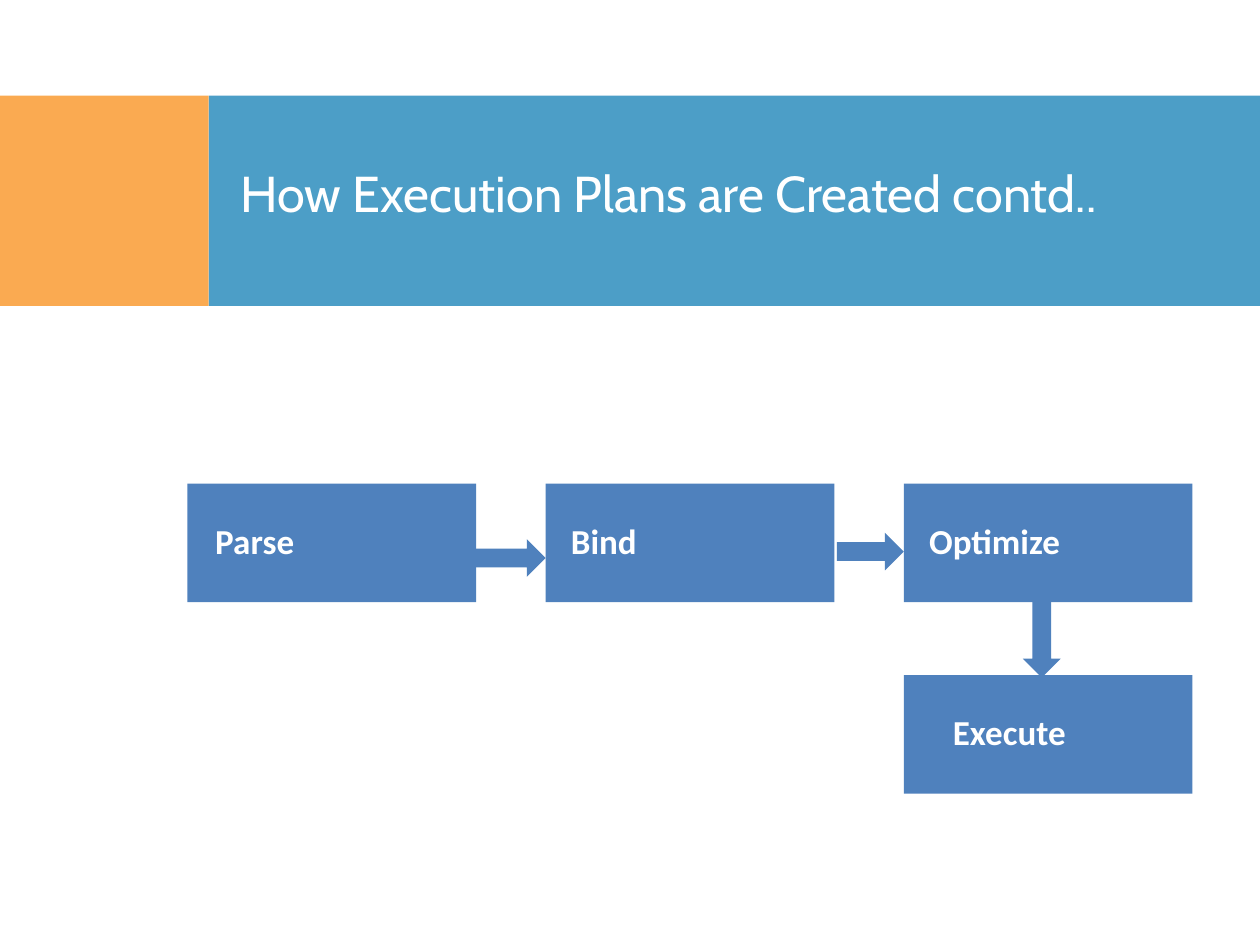
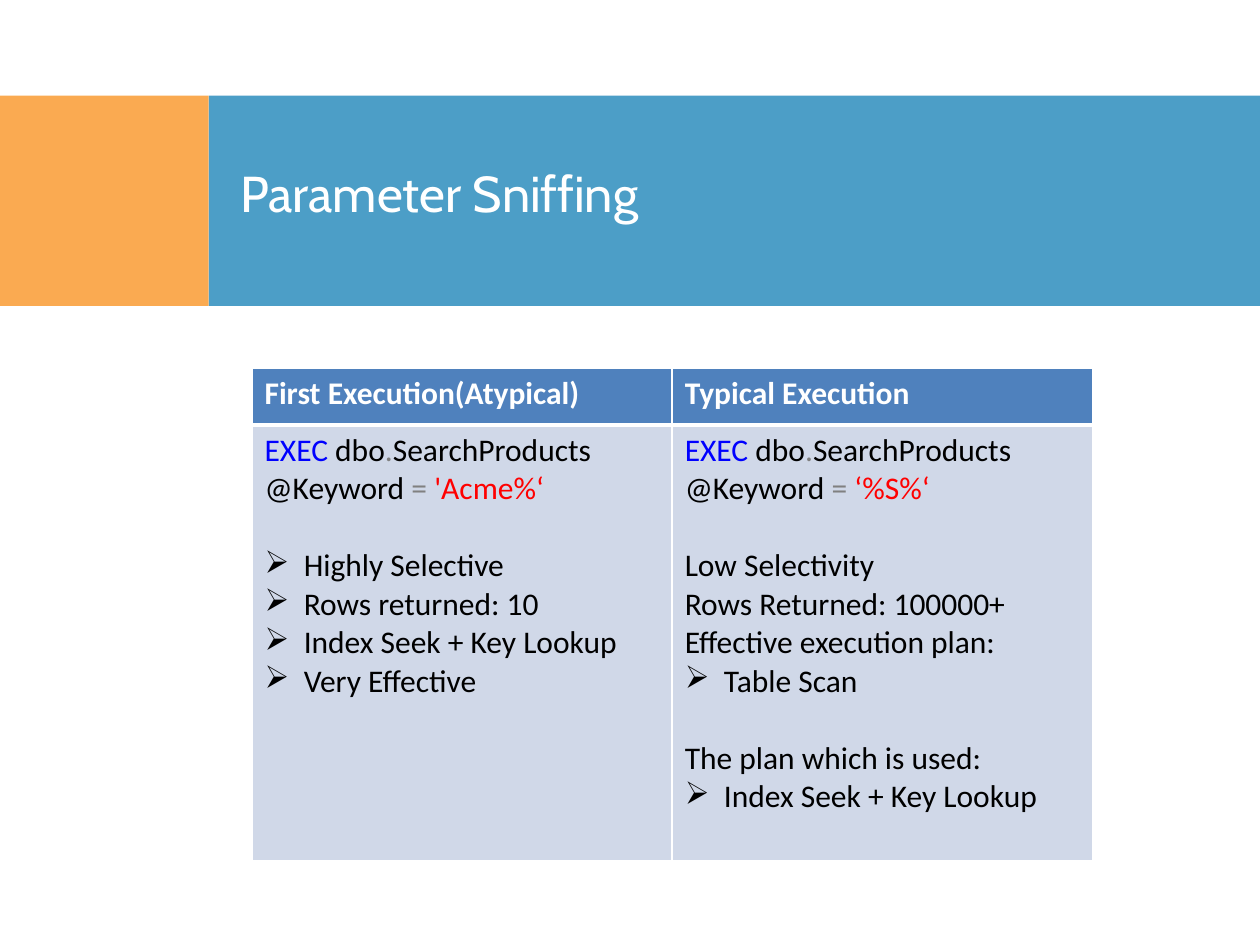
from lxml import etree
from pptx import Presentation
from pptx.dml.color import RGBColor
from pptx.enum.shapes import MSO_SHAPE
from pptx.enum.text import MSO_ANCHOR
from pptx.oxml.ns import qn
from pptx.util import Cm, Pt

RECT, ARROW = MSO_SHAPE.RECTANGLE, MSO_SHAPE.RIGHT_ARROW
MIDDLE = MSO_ANCHOR.MIDDLE

ORANGE, TEAL, BLUE, PALE = "F88608", "0075B0", "4F81BD", "D0D8E8"
WHITE, BLACK = "FFFFFF", "000000"
KEYWORD, OPERATOR, LITERAL = "0000FF", "808080", "FF0000"


def rgb(value):
    return RGBColor.from_string(value)


class Deck:
    """Holds the presentation, its style and the slide being filled."""

    title_font, body_font = "Cabin", "Calibri"
    bullet_indent = Cm(0.79)
    line_gap = Pt(22)

    def __init__(self):
        self.prs = Presentation()
        self.prs.slide_width, self.prs.slide_height = Cm(25.4), Cm(19.05)
        self.s = None

    def slide(self, title):
        self.s = self.prs.slides.add_slide(self.prs.slide_layouts[6])
        self.shape(RECT, -0.03, 1.93, 4.24, 4.24, ORANGE, opacity=70)
        self.shape(RECT, 4.21, 1.93, 21.19, 4.24, TEAL, opacity=70)
        tf = self.s.shapes.add_textbox(Cm(4.6), Cm(3.1), Cm(20.3), Cm(1.57)).text_frame
        tf.word_wrap = True
        tf.vertical_anchor = MIDDLE
        self.run(tf.paragraphs[0], title, 28.8, WHITE, font=self.title_font)

    def shape(self, kind, x, y, w, h, color, opacity=100):
        sp = self.s.shapes.add_shape(kind, Cm(x), Cm(y), Cm(w), Cm(h))
        sp.shadow.inherit = False
        sp.line.fill.background()
        sp.fill.solid()
        sp.fill.fore_color.rgb = rgb(color)
        if opacity < 100:
            clr = sp.fill._xPr.find(".//" + qn("a:srgbClr"))
            etree.SubElement(clr, qn("a:alpha"), val=str(opacity * 1000))
        return sp

    def run(self, p, text, size, color, bold=False, font=None):
        r = p.add_run()
        r.text = text
        r.font.name = font or self.body_font
        r.font.size = Pt(size)
        r.font.bold = bold
        r.font.color.rgb = rgb(color)

    def step(self, text, x, y, inset=0.51):
        sp = self.shape(RECT, x, y, 5.82, 2.39, BLUE)
        tf = sp.text_frame
        tf.word_wrap = True
        tf.vertical_anchor = MIDDLE
        tf.margin_left = Cm(inset)
        tf.margin_top = tf.margin_right = tf.margin_bottom = Cm(0.38)
        p = tf.paragraphs[0]
        p.alignment = 1
        p.line_spacing, p.space_before = 0.9, Pt(6)
        self.run(p, text, 20, WHITE, bold=True)

    def arrow(self, x, y, length, rotation=0):
        self.shape(ARROW, x, y, length, 0.76, BLUE).rotation = rotation

    def table(self, x, y, widths, heights):
        t = self.s.shapes.add_table(len(heights), len(widths), Cm(x), Cm(y),
                                    Cm(sum(widths)), Cm(sum(heights))).table
        for col, w in zip(t.columns, widths):
            col.width = Cm(w)
        for row, h in zip(t.rows, heights):
            row.height = Cm(h)
        return t

    def cell(self, c, color, top=1, bottom=1):
        """Fill a cell and give it white borders, widths in points."""
        tc_pr = c._tc.get_or_add_tcPr()
        for side, width in (("L", 1), ("R", 1), ("T", top), ("B", bottom)):
            ln = etree.SubElement(tc_pr, qn("a:ln" + side), w=str(Pt(width)))
            fill = etree.SubElement(ln, qn("a:solidFill"))
            etree.SubElement(fill, qn("a:srgbClr"), val=WHITE)
        c.fill.solid()
        c.fill.fore_color.rgb = rgb(color)
        return c.text_frame

    def line(self, tf, text, bullet=False, gap=False):
        """Add a paragraph; gap leaves one line free above it."""
        p = tf.add_paragraph()
        if gap:
            p.space_before = self.line_gap
        if bullet:
            p_pr = p._p.get_or_add_pPr()
            p_pr.set("marL", str(self.bullet_indent))
            p_pr.set("indent", str(-self.bullet_indent))
            etree.SubElement(p_pr, qn("a:buChar"), char="➢")
        self.run(p, text, 18, BLACK)

    def call(self, p, literal):
        """Write the coloured procedure call with its search literal."""
        for text, color in (("EXEC ", KEYWORD), ("dbo", BLACK), (".", OPERATOR),
                            ("SearchProducts @Keyword ", BLACK),
                            ("= ", OPERATOR), (literal, LITERAL)):
            self.run(p, text, 18, color)


def plan_steps(deck):
    deck.slide("How Execution Plans are Created contd..")
    left, pitch, top = 3.78, 7.22, 9.75
    for i, (name, inset) in enumerate((("Parse", 0.56), ("Bind", 0.51), ("Optimize", 0.51))):
        deck.step(name, left + i * pitch, top, inset)
    deck.step("Execute", left + 2 * pitch, 13.61, inset=0.99)
    deck.arrow(9.6, 10.87, 1.4)
    deck.arrow(16.87, 10.74, 1.35)
    deck.arrow(20.24, 12.52, 1.52, rotation=90)


def parameter_sniffing(deck):
    deck.slide("Parameter Sniffing")
    # Each line: text, bullet, gap above
    columns = (
        ("First Execution(Atypical)", "'Acme%‘", (
            ("Highly Selective", True, True),
            ("Rows returned: 10", True, False),
            ("Index Seek + Key Lookup", True, False),
            ("Very Effective", True, False))),
        ("Typical Execution", "‘%S%‘", (
            ("Low Selectivity", False, True),
            ("Rows Returned: 100000+", False, False),
            ("Effective execution plan:", False, False),
            ("Table Scan", True, False),
            ("The plan which is used:", False, True),
            ("Index Seek + Key Lookup", True, False))),
    )
    t = deck.table(5.08, 7.42, (8.47, 8.47), (1.15, 8.79))
    for i, (heading, literal, lines) in enumerate(columns):
        tf = deck.cell(t.cell(0, i), BLUE, bottom=3)
        deck.run(tf.paragraphs[0], heading, 18, WHITE, bold=True)
        tf = deck.cell(t.cell(1, i), PALE, top=3)
        deck.call(tf.paragraphs[0], literal)
        for text, bullet, gap in lines:
            deck.line(tf, text, bullet, gap)


def main():
    deck = Deck()
    plan_steps(deck)
    parameter_sniffing(deck)
    deck.prs.save("out.pptx")


if __name__ == "__main__":
    main()
